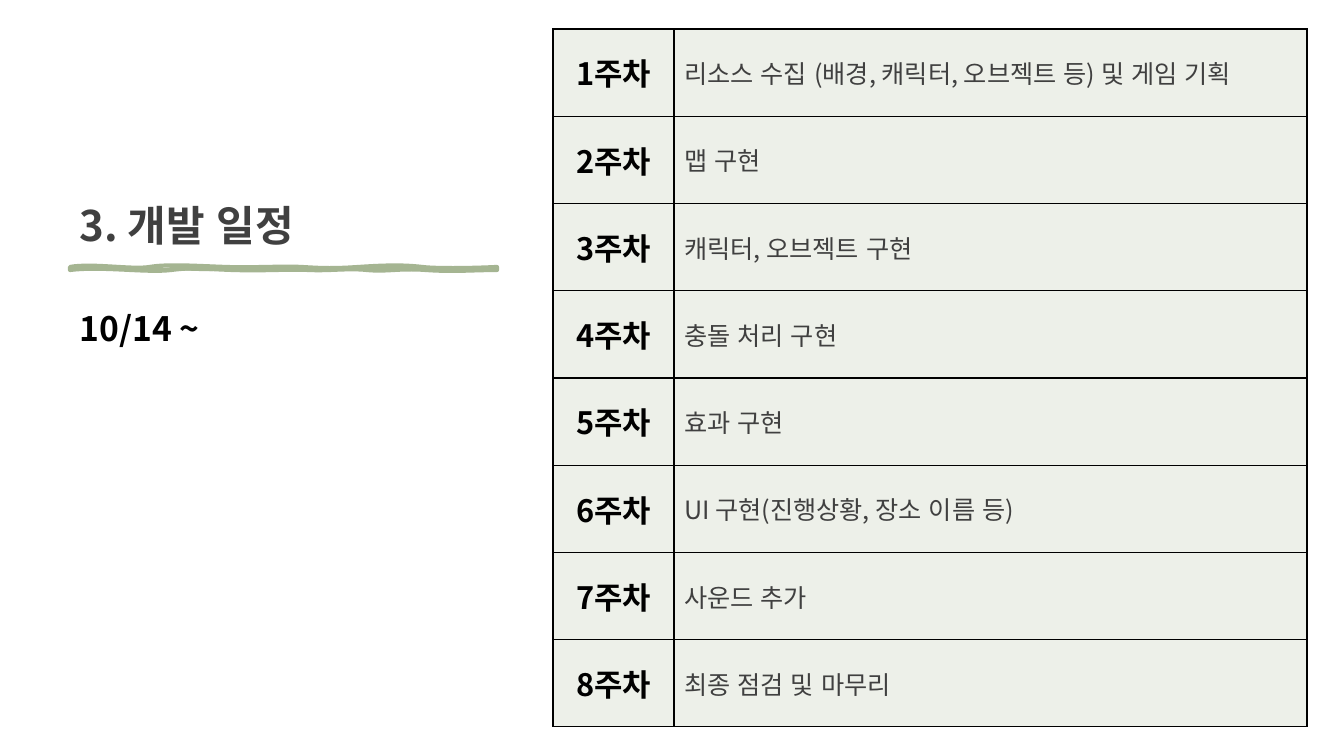
"""Build the development schedule slide with an eight-week table."""
from dataclasses import dataclass

from lxml.etree import SubElement
from pptx import Presentation
from pptx.dml.color import RGBColor
from pptx.enum.lang import MSO_LANGUAGE_ID as Language
from pptx.enum.text import MSO_ANCHOR as Anchor, PP_ALIGN as Align
from pptx.oxml.ns import qn
from pptx.util import Emu, Pt

TITLE = "3. 개발 일정"
PERIOD = "10/14 ~"
TASKS = [
    "리소스 수집 (배경, 캐릭터, 오브젝트 등) 및 게임 기획",
    "맵 구현",
    "캐릭터, 오브젝트 구현",
    "충돌 처리 구현",
    "효과 구현",
    "UI 구현(진행상황, 장소 이름 등)",
    "사운드 추가",
    "최종 점검 및 마무리",
]

SLIDE_SIZE = (1344, 756)
TITLE_BOX = (70, 195, 408, 93)
PERIOD_BOX = (70, 299, 433, 373)
TABLE_BOX = (553, 29, 754, 698)
WEEK_WIDTH = 121
BRUSH_BOX = (70, 267, 427, 3)
BRUSH_EDGE = [
    ((23, -4), (62, 3), (80, 0)), ((97, -3), (127, -1), (155, 0)),
    ((183, 1), (213, -1), (231, 0)), ((249, 1), (260, 2), (289, 0)),
    ((318, -2), (335, -2), (352, 0)), ((369, 2), (408, 1), (427, 0)),
    ((427, 1), (427, 2), (427, 3)), ((402, 3), (384, 5), (356, 3)),
    ((329, 1), (317, 5), (297, 3)), ((278, 1), (260, 4), (239, 3)),
    ((218, 2), (196, 4), (163, 3)), ((132, 2), (125, 0), (101, 3)),
    ((77, 6), (32, -1), (0, 3)), ((0, 2), (0, 1), (0, 0)),
]
BRUSH_BODY = [
    ((21, -1), (36, -3), (67, 0)), ((97, 3), (100, -1), (125, 0)),
    ((150, 1), (170, -4), (205, 0)), ((240, 4), (253, 3), (272, 0)),
    ((290, -3), (307, 1), (339, 0)), ((370, -1), (395, 4), (427, 0)),
    ((427, 1), (427, 2), (427, 3)), ((402, 0), (389, 5), (356, 3)),
    ((323, 1), (316, 2), (297, 3)), ((280, 4), (247, 1), (227, 3)),
    ((206, 2), (174, 0), (155, 3)), ((136, 6), (105, 2), (88, 3)),
    ((71, 4), (18, 1), (0, 3)), ((0, 2), (0, 1), (0, 0)),
]


@dataclass(frozen=True)
class Theme:
    font: str = "Noto Sans CJK KR"
    ink: str = "000000"
    gray: str = "404040"
    green: str = "A5B592"
    cell: str = "EDF0E9"
    title_size: int = 30
    period_size: int = 24
    week_size: int = 22
    task_size: int = 18
    brush_line: int = 3
    border: int = 1


THEME = Theme()


def px(length):
    return Emu(round(length * 914400 / 100.8))


def color(value):
    return RGBColor.from_string(value)


def add_run(paragraph, text, size, ink, bold):
    run = paragraph.add_run()
    run.text = text
    font = run.font
    font.name, font.size, font.bold = THEME.font, Pt(size), bold
    font.language_id = Language.KOREAN
    font.color.rgb = color(ink)
    SubElement(font._element, qn("a:ea"), typeface=THEME.font)


def add_text(slide, box, text, size, ink):
    frame = slide.shapes.add_textbox(*map(px, box)).text_frame
    frame.word_wrap = True
    paragraph = frame.paragraphs[0]
    add_run(paragraph, text, size, ink, True)
    return paragraph


def add_point(parent, point):
    SubElement(parent, qn("a:pt"), x=str(point[0]), y=str(point[1]))


def add_outline(outlines, curves, **paint):
    width, height = BRUSH_BOX[2:]
    outline = SubElement(outlines, qn("a:path"), w=str(width), h=str(height), **paint)
    add_point(SubElement(outline, qn("a:moveTo")), (0, 0))
    for curve in curves:
        bezier = SubElement(outline, qn("a:cubicBezTo"))
        for point in curve:
            add_point(bezier, point)
    SubElement(outline, qn("a:close"))


def add_brush_stroke(slide):
    left, top, width, height = map(px, BRUSH_BOX)
    builder = slide.shapes.build_freeform(left, top)
    builder.add_line_segments([(left + width, top), (left + width, top + height), (left, top + height)])
    brush = builder.convert_to_shape()
    brush.shadow.inherit = False
    brush.fill.solid()
    brush.fill.fore_color.rgb = color(THEME.green)
    brush.line.color.rgb = color(THEME.green)
    brush.line.width = Pt(THEME.brush_line)
    outlines = next(brush._element.iter(qn("a:pathLst")))
    outlines.clear()
    add_outline(outlines, BRUSH_EDGE, fill="none")
    add_outline(outlines, BRUSH_BODY, stroke="0")


def style_cell(cell):
    properties = cell._tc.get_or_add_tcPr()
    for side in ("lnL", "lnR", "lnT", "lnB"):
        line = SubElement(properties, qn(f"a:{side}"), w=str(Pt(THEME.border)))
        fill = SubElement(line, qn("a:solidFill"))
        SubElement(fill, qn("a:srgbClr"), val=THEME.ink)
    cell.fill.solid()
    cell.fill.fore_color.rgb = color(THEME.cell)
    cell.vertical_anchor = Anchor.MIDDLE


def add_schedule(slide):
    table = slide.shapes.add_table(len(TASKS), 2, *map(px, TABLE_BOX)).table
    table.first_row = table.horz_banding = False
    for column, width in zip(table.columns, (WEEK_WIDTH, TABLE_BOX[2] - WEEK_WIDTH)):
        column.width = px(width)
    for index, task in enumerate(TASKS):
        table.rows[index].height = px(TABLE_BOX[3] / len(TASKS))
        week_cell, task_cell = table.cell(index, 0), table.cell(index, 1)
        style_cell(week_cell)
        style_cell(task_cell)
        week = week_cell.text_frame.paragraphs[0]
        week.alignment = Align.CENTER
        add_run(week, f"{index + 1}주차", THEME.week_size, THEME.ink, True)
        add_run(task_cell.text_frame.paragraphs[0], task, THEME.task_size, THEME.gray, False)


def main():
    presentation = Presentation()
    presentation.slide_width, presentation.slide_height = map(px, SLIDE_SIZE)
    slide = presentation.slides.add_slide(presentation.slide_layouts[6])
    add_brush_stroke(slide)
    period = add_text(slide, PERIOD_BOX, PERIOD, THEME.period_size, THEME.ink)
    period.line_spacing = 1.1
    period.space_before = Pt(10)
    add_schedule(slide)
    add_text(slide, TITLE_BOX, TITLE, THEME.title_size, THEME.gray)
    presentation.save("out.pptx")


if __name__ == "__main__":
    main()
